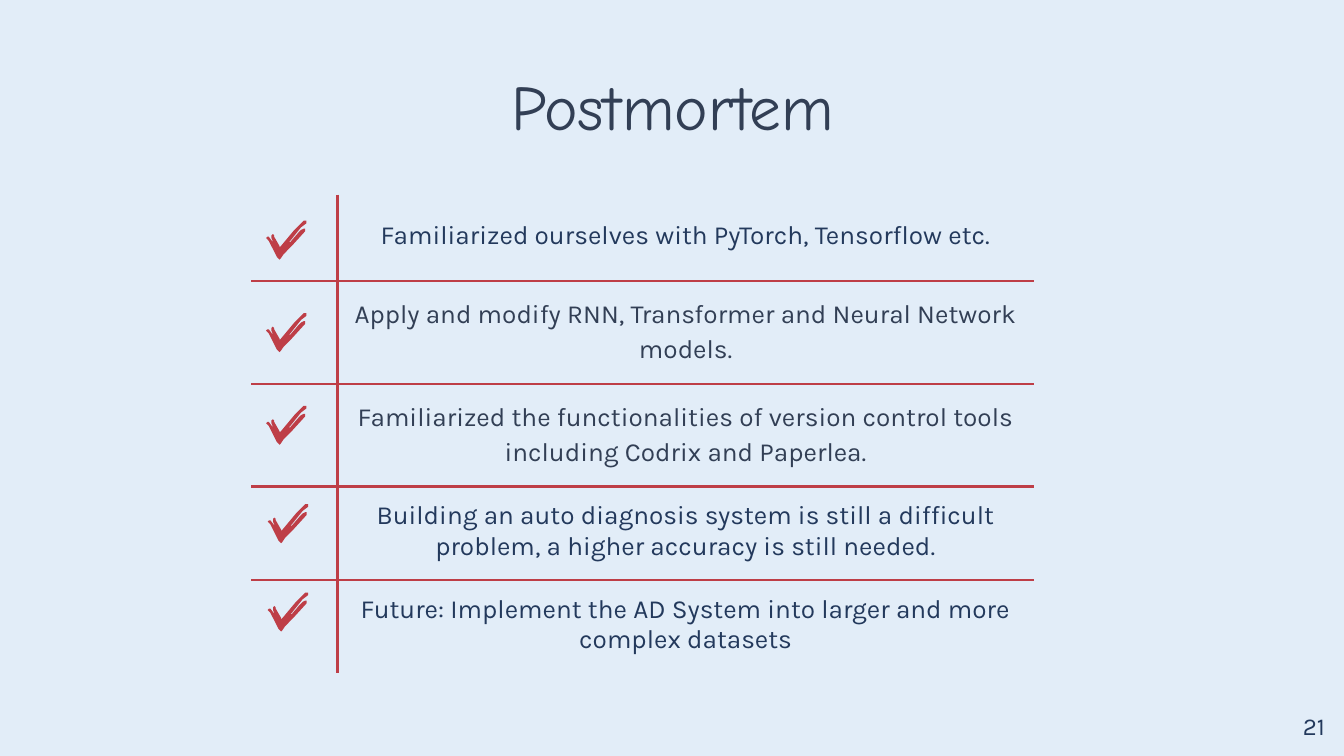
from lxml import etree
from pptx import Presentation
from pptx import util as u
from pptx.dml.color import RGBColor
from pptx.enum import text
from pptx.oxml.ns import qn

SKY = RGBColor(0xE2, 0xED, 0xF8)
RED = RGBColor(0xBE, 0x3E, 0x47)
SLATE = RGBColor(0x32, 0x3F, 0x55)
NAVY = RGBColor(0x23, 0x39, 0x5C)

LESSONS = [
    ("Familiarized ourselves with PyTorch, Tensorflow etc.", NAVY, False),
    ("Apply and modify RNN, Transformer and Neural Network models.", SLATE, True),
    ("Familiarized the functionalities of version control tools "
     "including Codrix and Paperlea.", SLATE, True),
    ("Building an auto diagnosis system is still a difficult problem, "
     "a higher accuracy is still needed.", NAVY, False),
    ("Future: Implement the AD System into larger and more complex datasets", NAVY, False),
]
CHECK_SPOTS = [(5.03, 4.17), (5.03, 5.92), (5.03, 7.67), (5.06, 9.53), (5.06, 11.2)]
CHECK_OUTLINE = [
    (29, 0), (28, 0), (21, 7), (11, 19), (10, 20), (10, 19), (6, 12), (6, 11),
    (5, 10), (4, 11), (4, 13), (6, 18), (5, 16), (2, 12), (1, 12), (0, 13),
    (2, 15), (8, 27), (10, 29), (11, 28), (13, 25), (19, 19), (29, 8), (29, 6),
    (28, 6), (26, 7), (24, 9), (18, 16), (17, 16), (18, 15), (26, 5), (30, 2), (30, 0),
]


def add_run(p, words, font, size, color, align):
    """Add one styled run to a paragraph."""
    p.alignment = align
    r = p.add_run()
    r.text = words
    r.font.name, r.font.size = font, u.Pt(size)
    r.font.color.rgb = color


def add_label(s, box, words, font, size, color, align, pad):
    """Place a line of text in the given box."""
    tf = s.shapes.add_textbox(*map(u.Cm, box)).text_frame
    tf.word_wrap = True
    tf.vertical_anchor = text.MSO_ANCHOR.MIDDLE
    tf.margin_top = tf.margin_bottom = u.Cm(pad)
    add_run(tf.paragraphs[0], words, font, size, color, align)


def set_borders(cell, drawn):
    """Draw the named sides of a cell and clear the others."""
    tc_pr = cell._tc.get_or_add_tcPr()
    for side in "LRTB":
        ln = etree.SubElement(tc_pr, qn(f"a:ln{side}"), w=str(u.Pt(1.5)))
        if side in drawn:
            fill = etree.SubElement(ln, qn("a:solidFill"))
            etree.SubElement(fill, qn("a:srgbClr"), val=str(RED))
        else:
            etree.SubElement(ln, qn("a:noFill"))


def add_lessons(s, box):
    """Place the ruled table of lessons in the given box."""
    left, top, width, height = map(u.Cm, box)
    last = len(LESSONS) - 1
    table = s.shapes.add_table(len(LESSONS), 2, left, top, width, height).table
    table.first_row = table.horz_banding = False
    table.columns[0].width = u.Cm(1.63)
    table.columns[1].width = width - u.Cm(1.63)
    for i, (words, color, spaced) in enumerate(LESSONS):
        rules = ("T" if i > 0 else "") + ("B" if i < last else "")
        for j, inner in enumerate("RL"):
            cell = table.cell(i, j)
            set_borders(cell, rules + inner)
            cell.fill.background()
        cell.vertical_anchor = text.MSO_ANCHOR.MIDDLE
        cell.margin_left = cell.margin_right = cell.margin_top = u.Cm(0.25)
        cell.margin_bottom = u.Cm(0.33)
        p = cell.text_frame.paragraphs[0]
        add_run(p, words, "Karla", 14, color, text.PP_ALIGN.CENTER)
        if spaced:
            p.line_spacing, p.space_after = 1.15, u.Pt(12)


def add_check(s, left, top):
    """Place a brushed check mark with its corner at the given point."""
    pen = s.shapes.build_freeform(*CHECK_OUTLINE[0], scale=u.Cm(0.0254))
    pen.add_line_segments(CHECK_OUTLINE[1:], close=True)
    sp = pen.convert_to_shape(u.Cm(left), u.Cm(top))
    sp.shadow.inherit = False
    sp.fill.solid()
    sp.fill.fore_color.rgb = RED
    sp.line.fill.background()


def main():
    """Build the slide and save it."""
    prs = Presentation()
    prs.slide_width, prs.slide_height = u.Cm(25.4), u.Cm(14.29)
    s = prs.slides.add_slide(prs.slide_layouts[6])
    s.background.fill.solid()
    s.background.fill.fore_color.rgb = SKY
    add_label(s, (2.01, 1.3, 21.41, 1.37), "Postmortem", "Comic Neue", 34, SLATE,
              text.PP_ALIGN.CENTER, 0)
    add_lessons(s, (4.75, 3.68, 14.79, 8.15))
    for left, top in CHECK_SPOTS:
        add_check(s, left, top)
    add_label(s, (23.77, 13.18, 1.52, 1.09), "21", "Karla", 13, NAVY,
              text.PP_ALIGN.RIGHT, 0.25)
    prs.save("out.pptx")


if __name__ == "__main__":
    main()
